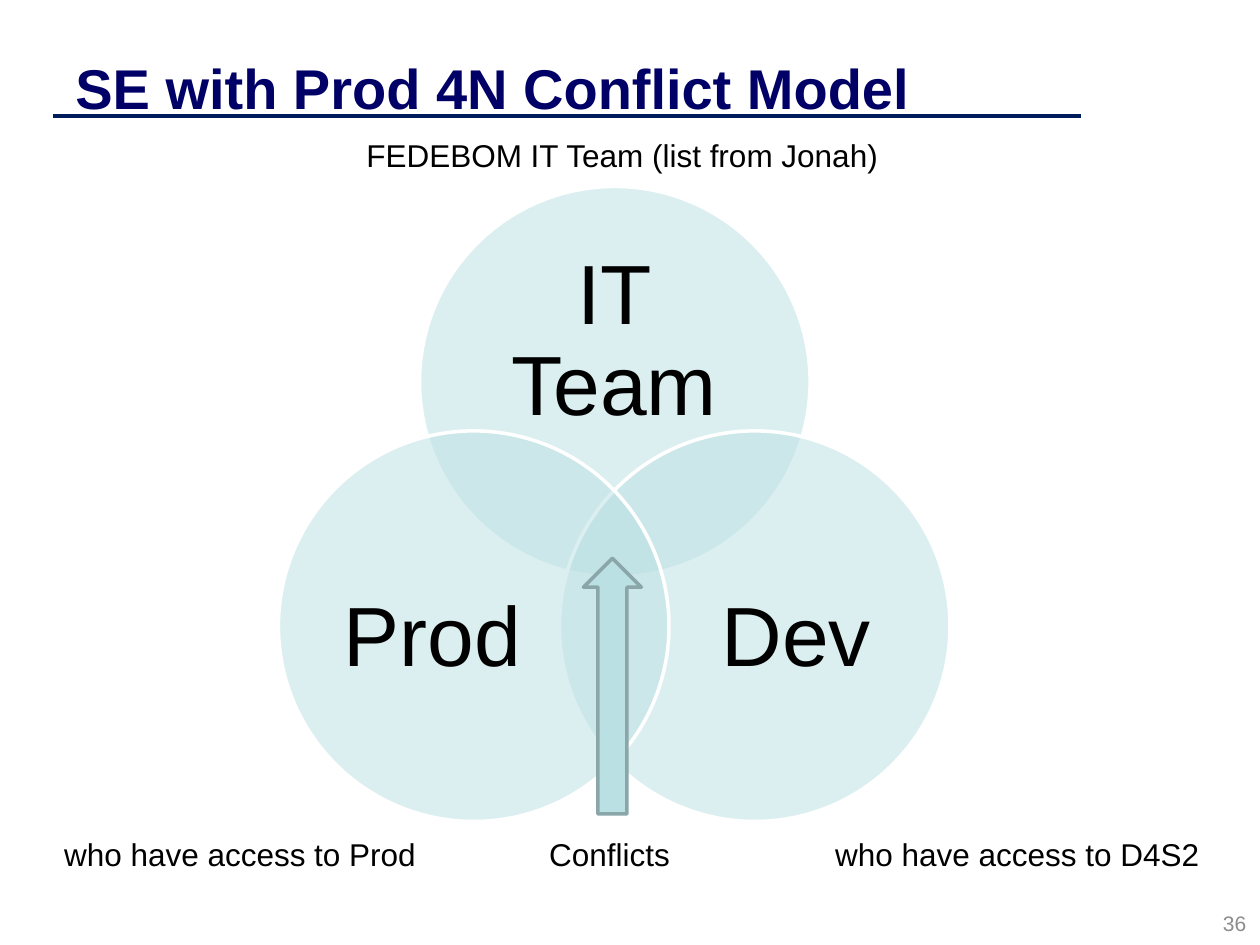
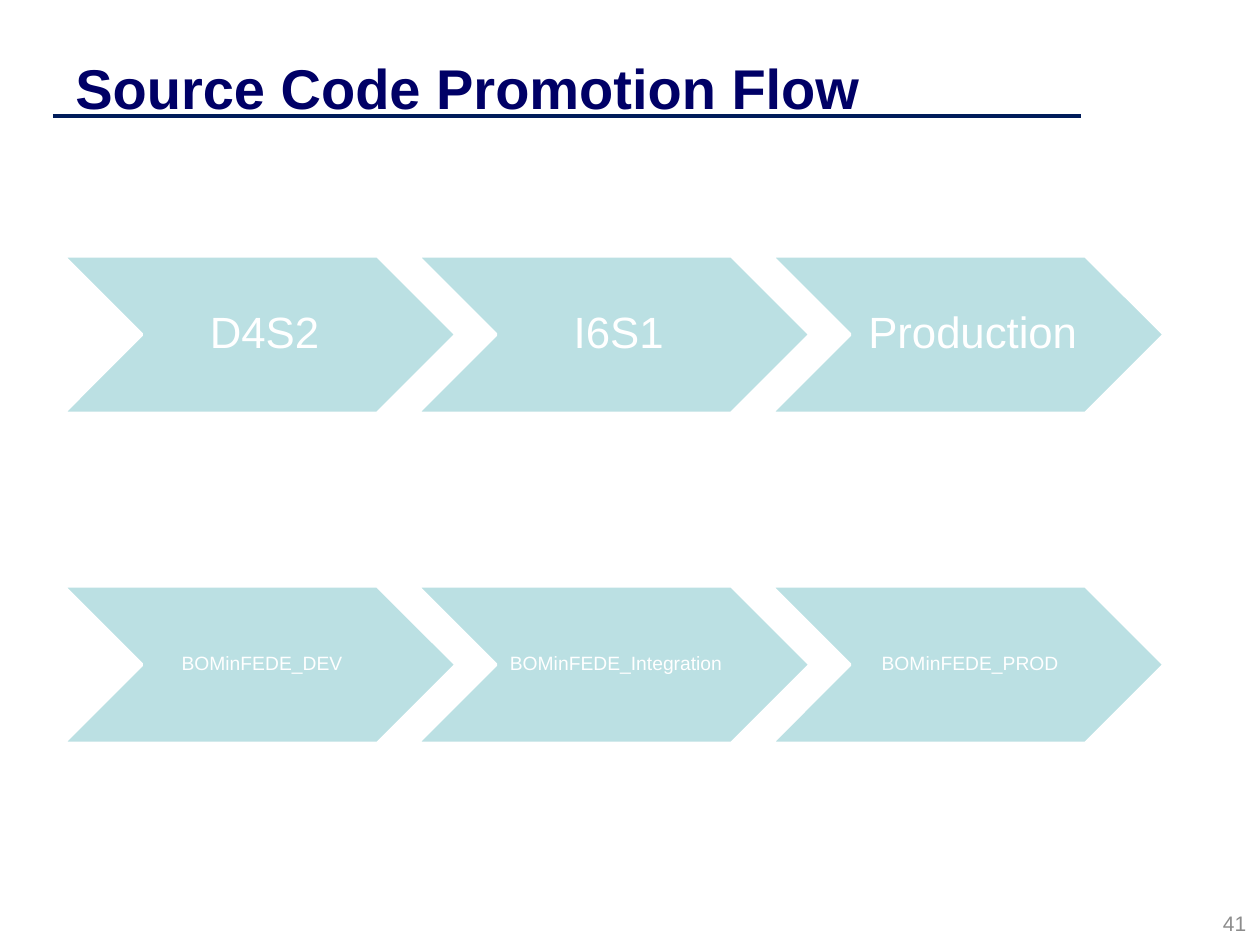
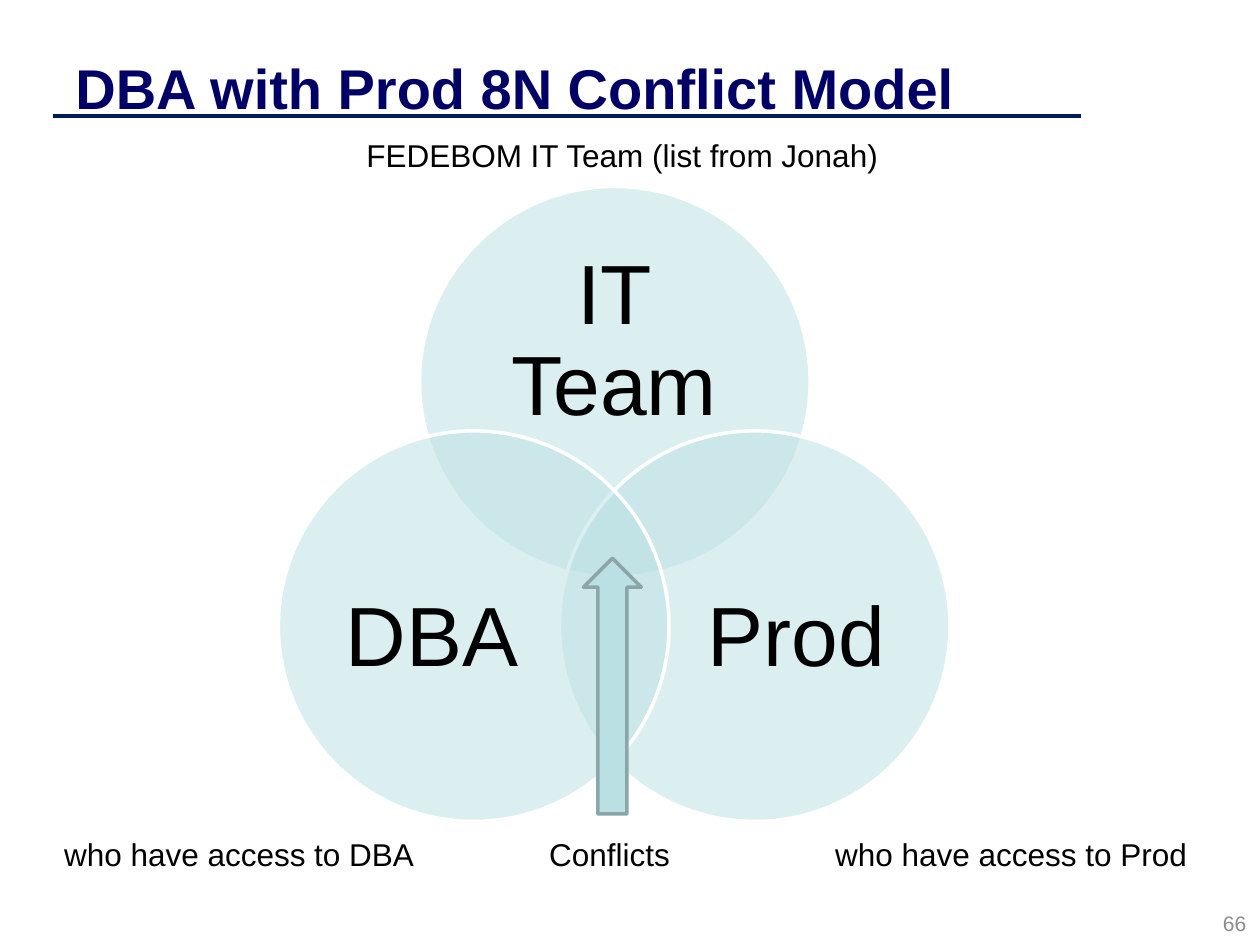
from dataclasses import dataclass

from lxml.etree import SubElement
from pptx import Presentation
from pptx.dml.color import RGBColor
from pptx.enum.shapes import MSO_CONNECTOR as Connector, MSO_SHAPE as Preset
from pptx.enum.text import MSO_ANCHOR as Anchor, MSO_AUTO_SIZE as AutoSize, PP_ALIGN as Align
from pptx.oxml.ns import qn
from pptx.presentation import Presentation as Deck
from pptx.shapes.autoshape import Shape
from pptx.slide import Slide
from pptx.util import Emu, Pt

# Shared scale, font and colours
PX = 9144  # EMU, 100 px to the inch
FONT = "Arial"
NAVY = RGBColor(0x00, 0x00, 0x66)
RULE_BLUE = RGBColor(0x00, 0x1C, 0x5A)
AQUA = RGBColor(0xBB, 0xE0, 0xE3)
ARROW_EDGE = RGBColor(0x8A, 0xA6, 0xA8)
GREY = RGBColor(0x8C, 0x8C, 0x8C)
BLACK = RGBColor(0x00, 0x00, 0x00)
WHITE = RGBColor(0xFF, 0xFF, 0xFF)


@dataclass(frozen=True)
class Box:
    left: int
    top: int
    width: int
    height: int

    def emu(self) -> list[Emu]:
        return [Emu(n * PX) for n in (self.left, self.top, self.width, self.height)]


@dataclass(frozen=True)
class VennModel:
    title: str
    number: int
    left_set: str
    right_set: str
    left_access: str
    right_access: str


@dataclass(frozen=True)
class ChevronRow:
    top: int
    size: int
    insets: tuple[int, int, int, int]
    labels: tuple[str, ...]


# Shared layout
TITLE_BOX = Box(50, 30, 800, 78)
NUMBER_BOX = Box(766, 716, 233, 34)
RULE_LEFT, RULE_RIGHT, RULE_TOP = 42, 858, 92
DEFAULT_INSETS = (10, 5, 10, 5)

# Venn layout: circle and label boxes for the top, right and left sets
CIRCLE = 310
TOP_SET = (Box(333, 148, CIRCLE, CIRCLE), Box(374, 202, 227, 140))
RIGHT_SET = (Box(444, 342, CIRCLE, CIRCLE), Box(539, 422, 186, 171))
LEFT_SET = (Box(221, 342, CIRCLE, CIRCLE), Box(250, 422, 186, 171))
ARROW_BOX = Box(463, 443, 46, 203)
CAPTION_TOP, CAPTION_HEIGHT = 658, 40

# Chevron layout
CHEVRON_LEFT, CHEVRON_PITCH = 50, 281
CHEVRON_WIDTH, CHEVRON_HEIGHT = 312, 125
CHEVRON_NOTCH = 63

# Content
SE_MODEL = VennModel("SE with Prod 4N Conflict Model", 36, "Prod", "Dev",
                     "who have access to Prod", "who have access to D4S2")
DBA_MODEL = VennModel("DBA with Prod 8N Conflict Model", 66, "DBA", "Prod",
                      "who have access to DBA", "who have access to Prod")
FLOW_ROWS = (
    ChevronRow(203, 25, (11, 4, 4, 4), ("D4S2", "I6S1", "Production")),
    ChevronRow(465, 11, (5, 2, 2, 2),
               ("BOMinFEDE_DEV", "BOMinFEDE_Integration", "BOMinFEDE_PROD")),
)


def add_text(slide: Slide, box: Box, text: str, *, size: int, color: RGBColor = BLACK,
             bold: bool = False, align: Align = Align.LEFT, anchor: Anchor = Anchor.MIDDLE,
             insets: tuple[int, int, int, int] = DEFAULT_INSETS,
             spacing: float = 1.0, grow: bool = False) -> None:
    frame = slide.shapes.add_textbox(*box.emu()).text_frame
    frame.word_wrap = True
    frame.auto_size = AutoSize.SHAPE_TO_FIT_TEXT if grow else AutoSize.NONE
    frame.vertical_anchor = anchor
    (frame.margin_left, frame.margin_top,
     frame.margin_right, frame.margin_bottom) = (Emu(n * PX) for n in insets)
    para = frame.paragraphs[0]
    para.alignment = align
    para.line_spacing = spacing
    span = para.add_run()
    span.text = text
    span.font.name = FONT
    span.font.size = Pt(size)
    span.font.bold = bold
    span.font.color.rgb = color


def add_preset(slide: Slide, preset: Preset, box: Box, *,
               edge: RGBColor = WHITE, opacity: int = 100) -> Shape:
    shape = slide.shapes.add_shape(preset, *box.emu())
    shape.shadow.inherit = False
    shape.fill.solid()
    shape.fill.fore_color.rgb = AQUA
    if opacity < 100:
        fill_color = shape.element.spPr.find(f"{qn('a:solidFill')}/{qn('a:srgbClr')}")
        SubElement(fill_color, qn("a:alpha"), val=str(opacity * 1000))
    shape.line.color.rgb = edge
    shape.line.width = Pt(2)
    return shape


def add_page(deck: Deck, title: str, number: int) -> Slide:
    """Add a blank page with the shared rule, title and page number."""
    page = deck.slides.add_slide(deck.slide_layouts[6])
    rule = page.shapes.add_connector(
        Connector.STRAIGHT,
        *(Emu(n * PX) for n in (RULE_LEFT, RULE_TOP, RULE_RIGHT, RULE_TOP)))
    rule.line.color.rgb = RULE_BLUE
    rule.line.width = Pt(2)
    SubElement(rule.element.spPr, qn("a:effectLst"))
    add_text(page, TITLE_BOX, title, size=32, color=NAVY, bold=True)
    add_text(page, NUMBER_BOX, str(number), size=12, color=GREY, align=Align.RIGHT)
    return page


def add_venn_page(deck: Deck, model: VennModel) -> None:
    page = add_page(deck, model.title, model.number)

    # Three overlapping sets
    for (circle, label_box), label in ((TOP_SET, "IT Team"),
                                       (RIGHT_SET, model.right_set),
                                       (LEFT_SET, model.left_set)):
        add_preset(page, Preset.OVAL, circle, opacity=50)
        add_text(page, label_box, label, size=48, align=Align.CENTER,
                 insets=(0, 0, 0, 0), spacing=0.9)

    # Arrow to the shared region
    arrow = add_preset(page, Preset.DOWN_ARROW, ARROW_BOX, edge=ARROW_EDGE)
    arrow.rotation = 180

    # Captions
    for left, top, width, caption in (
            (426, CAPTION_TOP, 118, "Conflicts"),
            (653, CAPTION_TOP, 394, model.right_access),
            (41, CAPTION_TOP, 385, model.left_access),
            (281, 103, 437, "FEDEBOM IT Team (list from Jonah)")):
        add_text(page, Box(left, top, width, CAPTION_HEIGHT), caption,
                 size=18, anchor=Anchor.TOP, grow=True)


def add_flow_page(deck: Deck) -> None:
    page = add_page(deck, "Source Code Promotion Flow", 41)
    for row in FLOW_ROWS:
        for column, label in enumerate(row.labels):
            left = CHEVRON_LEFT + column * CHEVRON_PITCH
            add_preset(page, Preset.CHEVRON,
                       Box(left, row.top, CHEVRON_WIDTH, CHEVRON_HEIGHT))
            label_box = Box(left + CHEVRON_NOTCH, row.top,
                            CHEVRON_WIDTH - 2 * CHEVRON_NOTCH + 1, CHEVRON_HEIGHT)
            add_text(page, label_box, label, size=row.size, color=WHITE,
                     align=Align.CENTER, insets=row.insets, spacing=0.9)


def main() -> None:
    deck = Presentation()
    deck.slide_width = Emu(1000 * PX)
    deck.slide_height = Emu(750 * PX)
    add_venn_page(deck, SE_MODEL)
    add_flow_page(deck)
    add_venn_page(deck, DBA_MODEL)
    deck.save("out.pptx")


if __name__ == "__main__":
    main()
